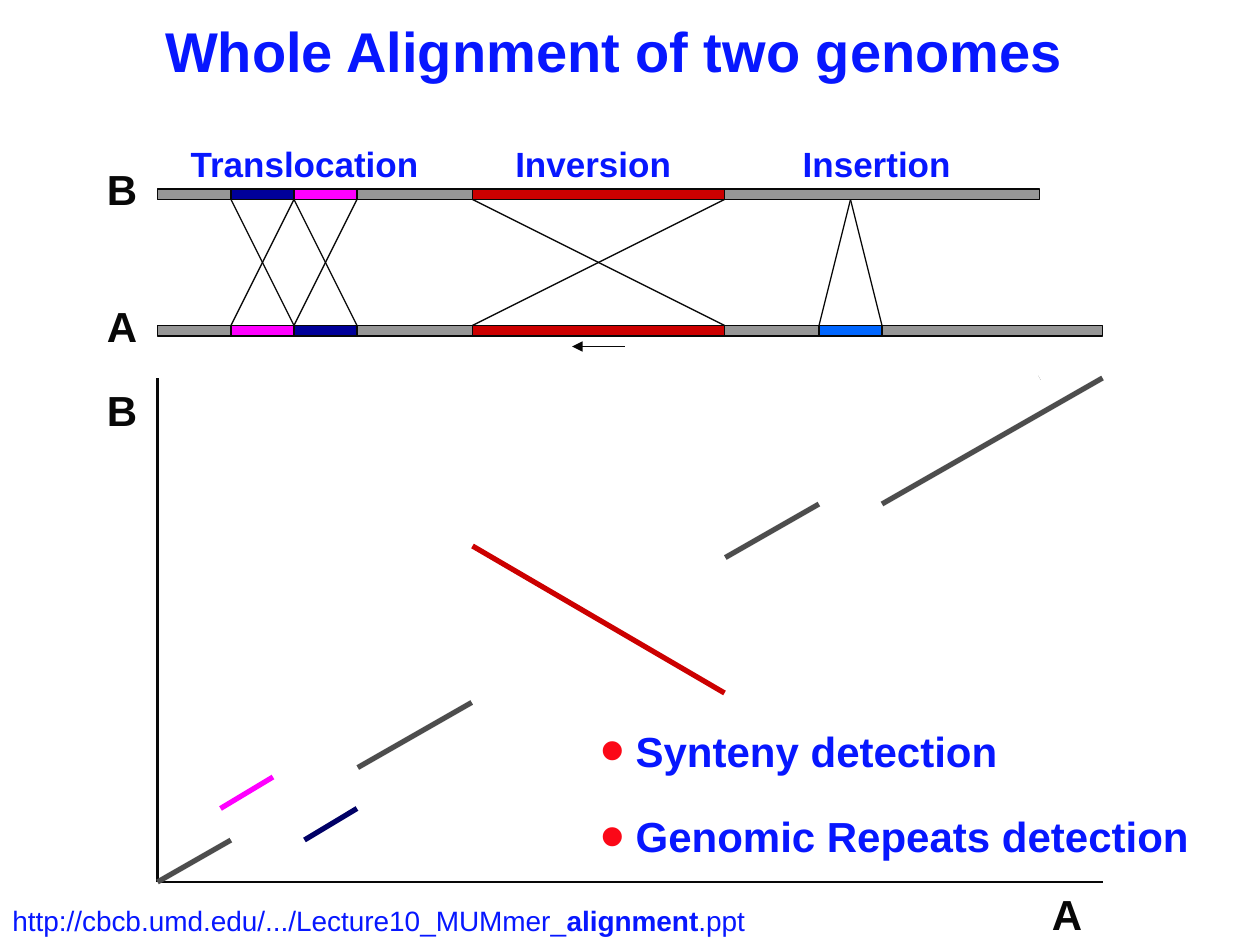
import pptx
import pptx.util
import pptx.dml.color
import pptx.enum.shapes
import pptx.enum.text
import pptx.oxml.ns
import lxml.etree

RGB = pptx.dml.color.RGBColor
ALIGN = pptx.enum.text.PP_ALIGN
ANCHOR = pptx.enum.text.MSO_ANCHOR

INK = RGB(0x08, 0x08, 0x08)
BLUE = RGB(0x07, 0x17, 0xFF)
BRIGHT = RGB(0xFB, 0x08, 0x17)
GRAY = RGB(0x96, 0x96, 0x96)
DARK = RGB(0x4D, 0x4D, 0x4D)
RED = RGB(0xCC, 0x00, 0x00)
PINK = RGB(0xFF, 0x00, 0xFF)
NAVY = RGB(0x00, 0x00, 0x99)
DEEP = RGB(0x00, 0x00, 0x66)
SKY = RGB(0x00, 0x66, 0xFF)
WHITE = RGB(0xFF, 0xFF, 0xFF)

COLS, ROWS = 120, 90
TOP, LOW = 18, 31


def grid(*nums):
    return [pptx.util.Inches(num / 12) for num in nums]


def add(node, tag, **attrs):
    return lxml.etree.SubElement(node, pptx.oxml.ns.qn(tag), **attrs)


def line(slide, start, end, color=INK, width=0.75, arrow=False):
    kind = pptx.enum.shapes.MSO_CONNECTOR.STRAIGHT
    item = slide.shapes.add_connector(kind, *grid(*start, *end))
    item.line.color.rgb = color
    item.line.width = pptx.util.Pt(width)
    if arrow:
        add(item.line._get_or_add_ln(), "a:tailEnd", type="triangle")
    add(item._element.spPr, "a:effectLst")


def bar(slide, left, row, width, color):
    kind = pptx.enum.shapes.MSO_SHAPE.RECTANGLE
    item = slide.shapes.add_shape(kind, *grid(left, row, width, 1))
    item.shadow.inherit = False
    item.fill.solid()
    item.fill.fore_color.rgb = color
    item.line.color.rgb = INK
    item.line.width = pptx.util.Pt(0.75)


def mark(para, color, indent, size):
    props = para._p.get_or_add_pPr()
    step = str(pptx.util.Inches(indent))
    props.set("marL", step)
    props.set("indent", "-" + step)
    add(add(props, "a:buClr"), "a:srgbClr", val=str(color))
    add(props, "a:buSzPct", val=str(size * 1000))
    add(props, "a:buFont", typeface="Arial")
    add(props, "a:buChar", char="•")


def text(slide, paras, box, size=24, color=INK, bold=True,
         align=ALIGN.LEFT, anchor=ANCHOR.TOP, gap=0, bullet=False):
    frame = slide.shapes.add_textbox(*grid(*box)).text_frame
    frame.word_wrap = True
    frame.vertical_anchor = anchor
    for spot, parts in enumerate(paras):
        para = frame.add_paragraph() if spot else frame.paragraphs[0]
        para.alignment = align
        if spot:
            para.space_before = pptx.util.Pt(gap)
        if bullet:
            mark(para, BRIGHT, 0.28, 167)
        for turn, part in enumerate(parts):
            run = para.add_run()
            run.text = part
            run.font.name = "Arial"
            run.font.size = pptx.util.Pt(size)
            run.font.bold = bold != bool(turn % 2)
            run.font.color.rgb = color


def strips(slide):
    for row in (TOP, LOW):
        bar(slide, 15, row, 84, GRAY)
    for upper, lower in ((81, 84), (81, 78), (22, 28), (28, 34),
                         (28, 22), (34, 28), (45, 69), (69, 45)):
        line(slide, (upper, TOP + 1), (lower, LOW))
    for left, row, width, color in (
            (22, TOP, 6, NAVY), (28, TOP, 6, PINK), (45, TOP, 24, RED),
            (22, LOW, 6, PINK), (28, LOW, 6, NAVY), (45, LOW, 24, RED),
            (78, LOW, 6, SKY), (84, LOW, 21, GRAY)):
        bar(slide, left, row, width, color)
    line(slide, (59.5, 33), (54.5, 33), arrow=True)


def plot(slide):
    for end in ((105, 84), (15, 36)):
        line(slide, (15, 84), end, width=1.5)
    for start, end, color in (
            ((15, 84), (99, 36), DARK),
            ((45, 67), (69, 53), WHITE), ((69, 66), (45, 52), RED),
            ((84, 48), (105, 36), DARK), ((78, 48), (99, 36), WHITE),
            ((21, 77), (26, 74), PINK), ((22, 80), (34, 73), WHITE),
            ((29, 80), (34, 77), DEEP)):
        line(slide, start, end, color, 6 if color == WHITE else 3)


def main():
    deck = pptx.Presentation()
    deck.slide_width, deck.slide_height = grid(COLS, ROWS)
    slide = deck.slides.add_slide(deck.slide_layouts[6])
    strips(slide)
    plot(slide)
    for name, left, top in (("B", 9, 15), ("A", 9, 28),
                            ("B", 9, 36), ("A", 99, 84)):
        text(slide, [[name]], (left, top, 6, 6))
    for name, left, width in (("Translocation", 15, 28),
                              ("Inversion", 45, 23), ("Insertion", 75, 17)):
        text(slide, [[name]], (left, 13, width, 5.2), size=20,
             color=BLUE, align=ALIGN.CENTER)
    text(slide, [["http://cbcb.umd.edu/.../Lecture10_MUMmer_",
                  "alignment", ".ppt"]],
         (0, 85.5, 78, 4.5), size=16, color=BLUE, bold=False)
    text(slide, [["Whole Alignment of two genomes"]], (8, 1, 101, 7.5),
         size=32, color=BLUE, align=ALIGN.CENTER)
    text(slide, [["Synteny detection"], ["Genomic Repeats detection"]],
         (56, 66, 63, 16.6), color=BLUE, anchor=ANCHOR.BOTTOM,
         gap=20, bullet=True)
    deck.save("out.pptx")


if __name__ == "__main__":
    main()
